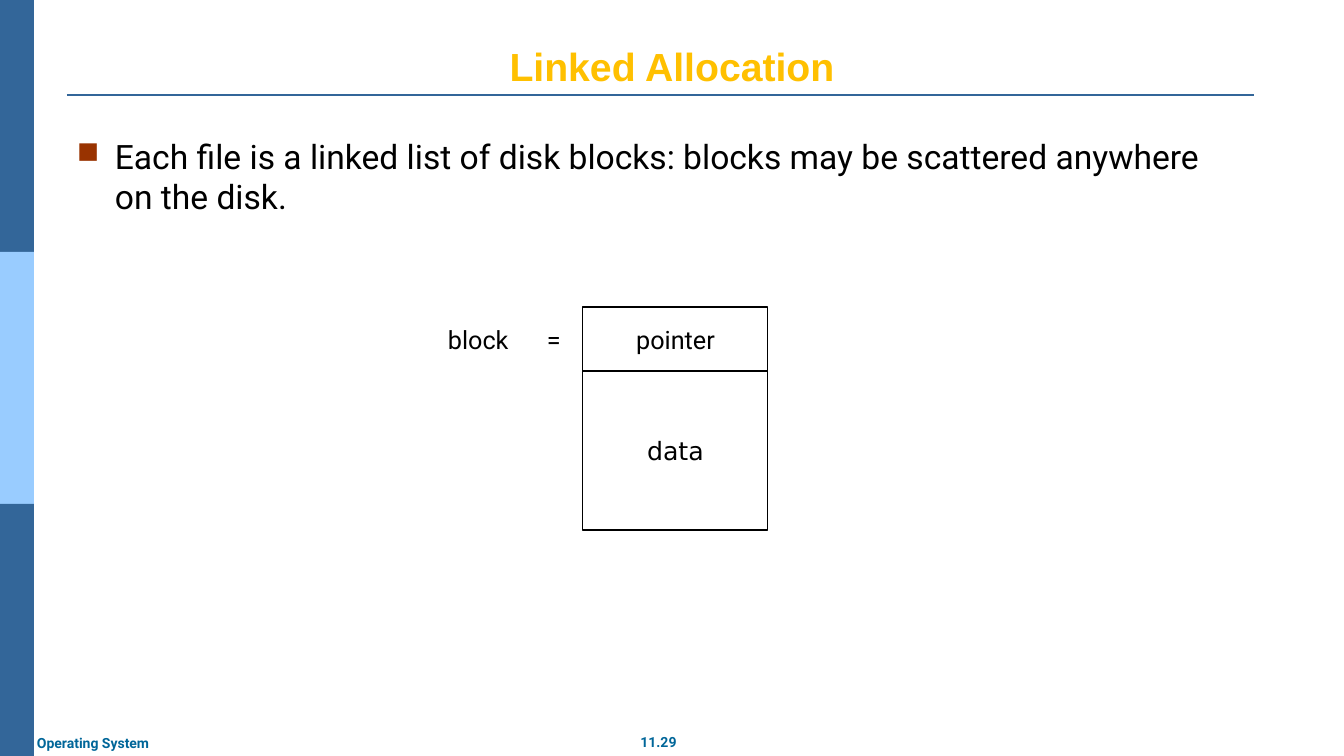
from dataclasses import dataclass

from lxml import etree
from pptx import Presentation
from pptx import util as u
from pptx.dml.color import RGBColor
from pptx.enum import shapes, text
from pptx.oxml.ns import qn

EMU_PER_PX = 914400 / 100.8


@dataclass(frozen=True)
class Theme:
    dark_blue: str = "336699"
    light_blue: str = "99CCFF"
    footer: str = "006699"
    title: str = "FFC000"
    bullet: str = "993300"
    ink: str = "000000"
    paper: str = "FFFFFF"
    title_size: int = 28
    body_size: int = 24
    label_size: int = 18
    footer_size: int = 10


THEME = Theme()
LEFT, CENTER = text.PP_ALIGN.LEFT, text.PP_ALIGN.CENTER
TOP, MIDDLE, BOTTOM = (text.MSO_ANCHOR.TOP, text.MSO_ANCHOR.MIDDLE,
                       text.MSO_ANCHOR.BOTTOM)


def px(value):
    return u.Emu(round(value * EMU_PER_PX))


def apply_format(target, values):
    for name, value in values.items():
        setattr(target, name, value)


def write(shape, words, size, color, font="Roboto", bold=False,
          align=CENTER, anchor=MIDDLE):
    frame = shape.text_frame
    apply_format(frame, {"word_wrap": True, "vertical_anchor": anchor})
    para = frame.paragraphs[0]
    para.alignment = align
    span = para.add_run()
    span.text = words
    apply_format(span.font, {"name": font, "size": u.Pt(size), "bold": bold})
    span.font.color.rgb = RGBColor.from_string(color)
    return para


def add_label(page, bounds, words, size, color, **style):
    box = page.shapes.add_textbox(*map(px, bounds))
    return write(box, words, size, color, **style)


def add_box(page, bounds, fill, line=None):
    box = page.shapes.add_shape(shapes.MSO_SHAPE.RECTANGLE, *map(px, bounds))
    box.shadow.inherit = False
    box.fill.solid()
    box.fill.fore_color.rgb = RGBColor.from_string(fill)
    if line:
        box.line.color.rgb = RGBColor.from_string(line)
        box.line.width = u.Pt(0.75)
    else:
        box.line.fill.background()
    return box


def add_rule(page, left, right, y, color):
    rule = page.shapes.add_connector(
        shapes.MSO_CONNECTOR.STRAIGHT, px(left), px(y), px(right), px(y))
    rule.line.color.rgb = RGBColor.from_string(color)
    rule.line.width = u.Pt(1.5)
    etree.SubElement(rule._element.spPr, qn("a:effectLst"))


def add_bullet(para, color, indent):
    props = para._p.get_or_add_pPr()
    props.set("marL", str(px(indent)))
    props.set("indent", str(-px(indent)))
    tint = etree.SubElement(props, qn("a:buClr"))
    etree.SubElement(tint, qn("a:srgbClr"), val=color)
    etree.SubElement(props, qn("a:buSzPct"), val="90000")
    etree.SubElement(props, qn("a:buChar"), char="■")


def add_tab_stop(para, position):
    stops = etree.SubElement(para._p.get_or_add_pPr(), qn("a:tabLst"))
    etree.SubElement(stops, qn("a:tab"), pos=str(px(position)), algn="l")


def add_frame(page):
    band_height = 252
    for row, color in enumerate(
            (THEME.dark_blue, THEME.light_blue, THEME.dark_blue)):
        add_box(page, (0, row * band_height, 34, band_height), color)
    add_rule(page, 67, 1254, 95, THEME.dark_blue)
    for bounds, words, align in (
            ((630, 729, 57, 27), "11.29", CENTER),
            ((27, 730, 141, 27), "Operating System", LEFT)):
        add_label(page, bounds, words, THEME.footer_size, THEME.footer,
                  bold=True, align=align, anchor=TOP)


def add_block_diagram(page):
    left, top, width = 583, 307, 185
    for words, height, font in (("pointer", 64, "Roboto"),
                                ("data", 159, "DejaVu Sans")):
        cell = add_box(page, (left, top, width, height),
                       THEME.paper, THEME.ink)
        write(cell, words, THEME.label_size, THEME.ink, font=font)
        top += height
    para = add_label(page, (438, 312, 141, 54), "block\t=",
                     THEME.label_size, THEME.ink, align=LEFT)
    add_tab_stop(para, 99)


def main():
    deck = Presentation()
    apply_format(deck, {"slide_width": px(1344), "slide_height": px(756)})
    page = deck.slides.add_slide(deck.slide_layouts[6])
    add_frame(page)
    add_label(page, (67, 30, 1210, 64), "Linked Allocation",
              THEME.title_size, THEME.title, font="Arial", bold=True,
              anchor=BOTTOM)
    para = add_label(
        page, (67, 131, 1153, 499),
        "Each file is a linked list of disk blocks: blocks may be "
        "scattered anywhere on the disk.",
        THEME.body_size, THEME.ink, align=LEFT, anchor=TOP)
    add_bullet(para, THEME.bullet, 38)
    add_block_diagram(page)
    deck.save("out.pptx")


if __name__ == "__main__":
    main()
